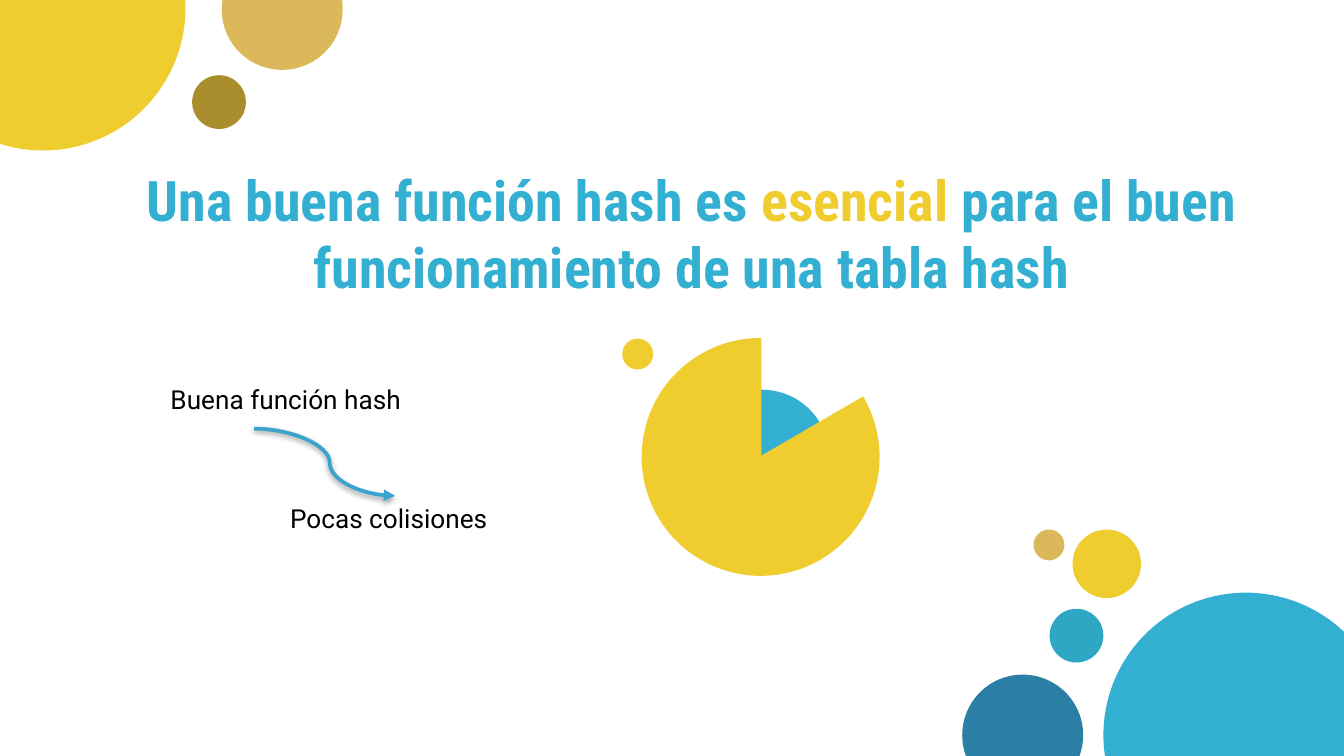
from lxml import etree
from pptx import Presentation
from pptx.dml.color import RGBColor
from pptx.enum.shapes import MSO_CONNECTOR, MSO_SHAPE
from pptx.enum.text import MSO_ANCHOR, MSO_AUTO_SIZE, PP_ALIGN
from pptx.oxml import parse_xml
from pptx.oxml.ns import nsdecls, qn
from pptx.util import Inches, Pt

OVAL, PIE, CURVE = MSO_SHAPE.OVAL, MSO_SHAPE.PIE, MSO_CONNECTOR.CURVE

BLUE = RGBColor(0x33, 0xAF, 0xD1)
TEAL = RGBColor(0x2E, 0xA7, 0xC4)
NAVY = RGBColor(0x2B, 0x7E, 0xA4)
ARROW = RGBColor(0x3A, 0xA4, 0xCC)
YELLOW = RGBColor(0xEF, 0xCD, 0x2F)
SAND = RGBColor(0xDB, 0xB9, 0x5A)
OLIVE = RGBColor(0xAA, 0x8E, 0x2D)
BLACK = RGBColor(0, 0, 0)

# Content
TITLE = [
    ("Una buena función hash es ", BLUE),
    ("esencial", YELLOW),
    (" para el buen funcionamiento de una tabla hash", BLUE),
]
LABELS = [  # text, left, top, width, height
    ("Buena función hash", 1.17, 2.75, 2.01, 0.44),
    ("Pocas colisiones", 2.06, 3.64, 3.02, 0.94),
]
CIRCLES = [  # left, top, diameter, colour
    (8.21, 4.41, 2.12, BLUE),
    (7.81, 4.53, 0.4, TEAL),
    (7.16, 5.02, 0.9, NAVY),
    (1.65, -0.38, 0.9, SAND),
    (-0.74, -1, 2.12, YELLOW),
    (1.43, 0.56, 0.4, OLIVE),
    (5.17, 2.9, 1, BLUE),
    (4.63, 2.52, 0.23, YELLOW),
    (7.69, 3.94, 0.23, SAND),
    (7.98, 3.94, 0.51, YELLOW),
]
PIE_BOX = (4.78, 2.52, 1.76, YELLOW)
PIE_ANGLES = (329.79, 270)  # start and end, clockwise degrees
ARROW_ENDS = (1.89, 3.19, 2.94, 3.69)

# 16:9 slide
prs = Presentation()
prs.slide_width = Inches(10)
prs.slide_height = prs.slide_width * 9 // 16
s = prs.slides.add_slide(prs.slide_layouts[5])


def add_round(kind, left, top, size, color):
    sp = s.shapes.add_shape(kind, Inches(left), Inches(top), Inches(size), Inches(size))
    sp.shadow.inherit = False
    sp.fill.solid()
    sp.fill.fore_color.rgb = color
    sp.line.fill.background()
    return sp


def fill_text(sp, runs, font, size, bold, align):
    tf = sp.text_frame
    tf.word_wrap = True
    tf.auto_size = MSO_AUTO_SIZE.NONE
    tf.vertical_anchor = MSO_ANCHOR.TOP
    tf.margin_left = tf.margin_right = tf.margin_top = tf.margin_bottom = Inches(0.1)
    p = tf.paragraphs[0]
    p.alignment = align
    for text, color in runs:
        r = p.add_run()
        r.text = text
        r.font.name, r.font.size, r.font.bold = font, Pt(size), bold
        r.font.color.rgb = color


# Circles and the open pie
for circle in CIRCLES:
    add_round(OVAL, *circle)
pie = add_round(PIE, *PIE_BOX)
for i, angle in enumerate(PIE_ANGLES):
    pie.adjustments[i] = angle * 0.6  # 60000ths of a degree over 100000
pie.line.color.rgb = YELLOW
pie.line.width = Pt(0.75)

# Title
title = s.shapes.title
title.left, title.top, title.width, title.height = map(Inches, (0.91, 1.13, 8.47, 0.63))
fill_text(title, TITLE, "Roboto Condensed", 30, True, PP_ALIGN.CENTER)

# Labels
for text, *box in LABELS:
    label = s.shapes.add_textbox(*map(Inches, box))
    fill_text(label, [(text, BLACK)], "Roboto", 14, False, PP_ALIGN.LEFT)

# Curved arrow with a soft shadow
arrow = s.shapes.add_connector(CURVE, *map(Inches, ARROW_ENDS))
arrow.line.color.rgb = ARROW
arrow.line.width = Pt(2)
etree.SubElement(arrow.line._get_or_add_ln(), qn("a:tailEnd"), type="triangle")
sp_pr = arrow._element.spPr
etree.SubElement(sp_pr.find(".//" + qn("a:avLst")), qn("a:gd"), name="adj1", fmla="val 53600")
sp_pr.append(parse_xml(
    f'<a:effectLst {nsdecls("a")}>'
    f'<a:outerShdw blurRad="{Pt(3.1)}" dist="{Pt(1.6)}" dir="5400000" rotWithShape="0">'
    '<a:srgbClr val="000000"><a:alpha val="38000"/></a:srgbClr>'
    '</a:outerShdw></a:effectLst>'))

prs.save("out.pptx")
